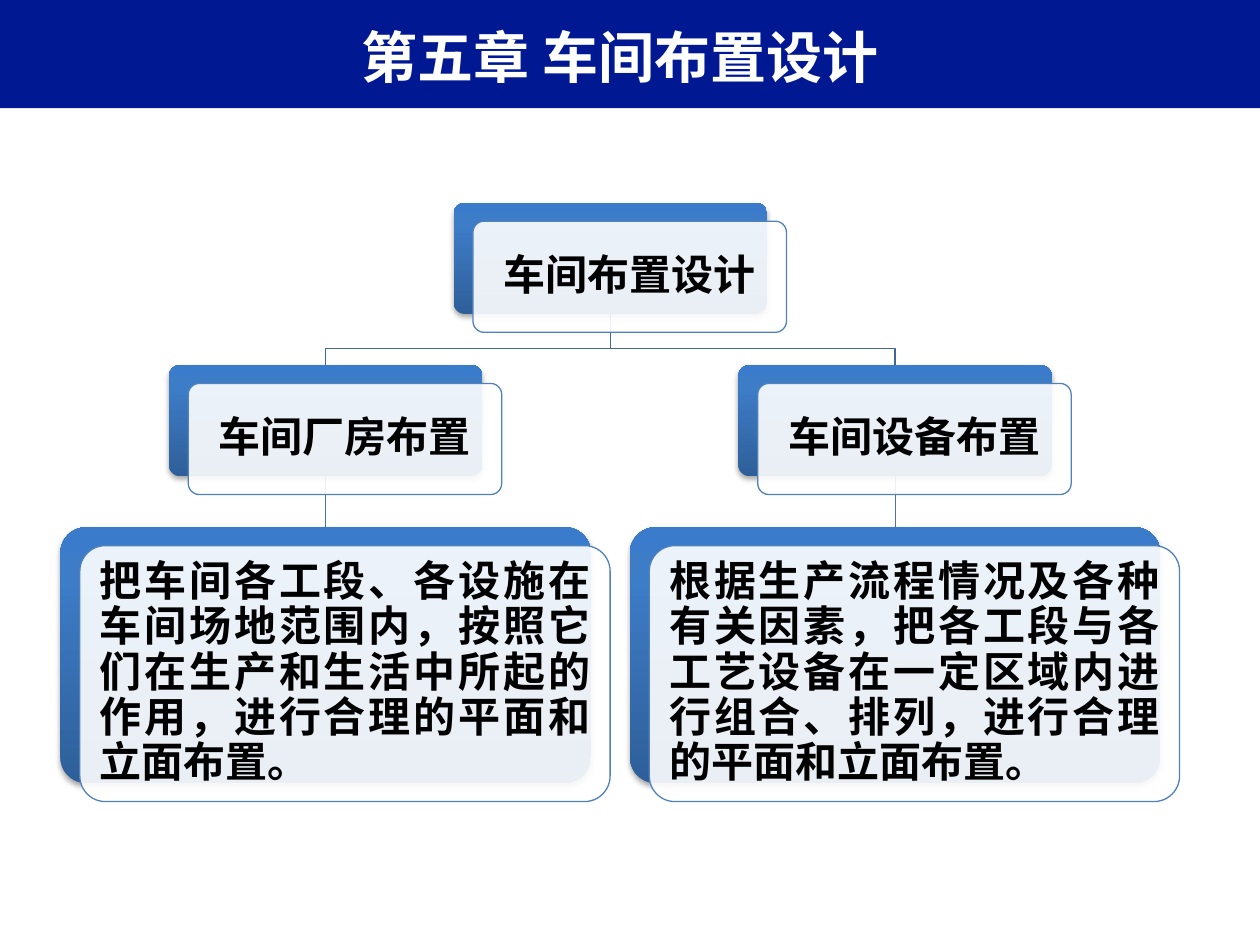
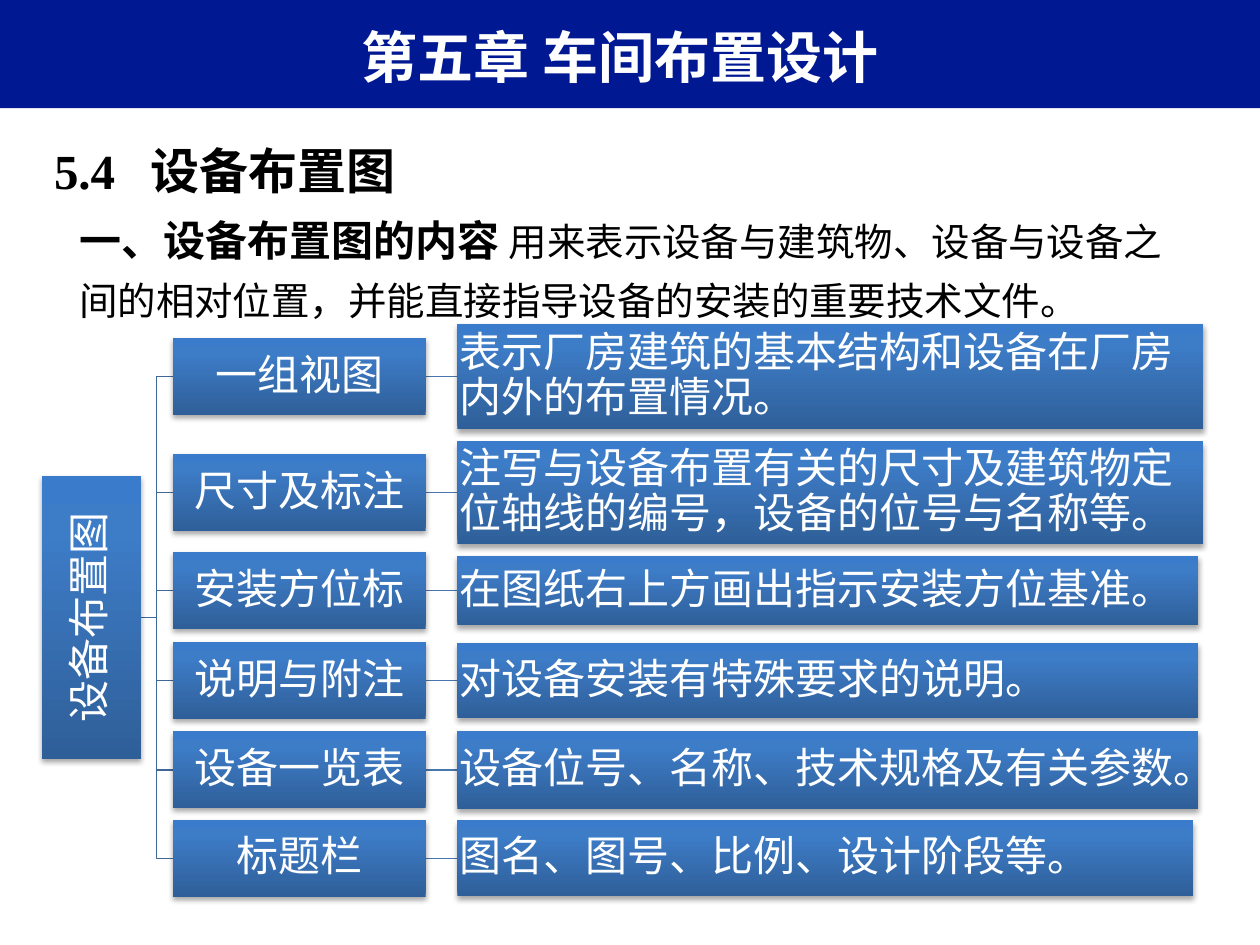
from dataclasses import dataclass

from lxml.etree import SubElement
from pptx import Presentation
from pptx.dml.color import RGBColor
from pptx.enum.shapes import MSO_CONNECTOR, MSO_SHAPE
from pptx.enum.text import MSO_ANCHOR, MSO_AUTO_SIZE, PP_ALIGN
from pptx.oxml.ns import qn
from pptx.util import Cm, Pt


@dataclass(frozen=True)
class Theme:
    band: str = "011893"
    white: str = "FFFFFF"
    black: str = "000000"
    outline: str = "4F81BD"
    branch_line: str = "3F6797"
    link_line: str = "4875AC"
    gradient: tuple = ((0, "2F5F99"), (80, "3D7CC7"), (100, "3A7CCB"))
    cjk: str = "Noto Sans CJK SC"
    serif: str = "Times New Roman"
    title_size: int = 32
    heading_size: int = 28
    label_size: int = 24
    body_size: int = 22
    line_width: float = 0.75


@dataclass(frozen=True)
class Box:
    left: float
    top: float
    width: float
    height: float

    @property
    def right(self):
        return self.left + self.width

    @property
    def bottom(self):
        return self.top + self.height

    @property
    def center(self):
        return self.left + self.width / 2

    @property
    def middle(self):
        return self.top + self.height / 2

    def shifted(self, dx, dy):
        return Box(self.left + dx, self.top + dy, self.width, self.height)

    def lengths(self):
        return Cm(self.left), Cm(self.top), Cm(self.width), Cm(self.height)


THEME = Theme()
CHAPTER = "第五章 车间布置设计"
PAGE = Box(0, 0, 25.4, 19.05)

LAYOUT_KINDS = [
    ("车间厂房布置", "把车间各工段、各设施在车间场地范围内，按照它们在生产和生活中所起的作用，进行合理的平面和立面布置。"),
    ("车间设备布置", "根据生产流程情况及各种有关因素，把各工段与各工艺设备在一定区域内进行组合、排列，进行合理的平面和立面布置。"),
]

DRAWING_CONTENTS = [
    ("一组视图", "表示厂房建筑的基本结构和设备在厂房内外的布置情况。", 7.59, 15.04, 2.13),
    ("尺寸及标注", "注写与设备布置有关的尺寸及建筑物定位轴线的编号，设备的位号与名称等。", 9.93, 15.04, 2.06),
    ("安装方位标", "在图纸右上方画出指示安装方位基准。", 11.91, 14.94, 1.4),
    ("说明与附注", "对设备安装有特殊要求的说明。", 13.72, 14.94, 1.5),
    ("设备一览表", "设备位号、名称、技术规格及有关参数。", 15.52, 14.94, 1.57),
    ("标题栏", "图名、图号、比例、设计阶段等。", 17.3, 14.83, 1.52),
]


def rgb(color):
    return RGBColor.from_string(color)


def style_font(paragraph, size, color, bold=False, latin=THEME.cjk):
    font = paragraph.font
    font.size, font.bold, font.name = Pt(size), bold, latin
    font.color.rgb = rgb(color)
    defaults = paragraph._p.pPr.find(qn("a:defRPr"))
    SubElement(defaults, qn("a:ea"), typeface=THEME.cjk)


def write_label(shape, text, align, color, bold, inset):
    frame = shape.text_frame
    frame.word_wrap = True
    frame.vertical_anchor = MSO_ANCHOR.MIDDLE
    frame.margin_left = frame.margin_right = Cm(inset)
    frame.margin_top = frame.margin_bottom = Cm(inset)
    paragraph = frame.paragraphs[0]
    paragraph.text = text
    paragraph.alignment = align
    paragraph.line_spacing = 0.9
    style_font(paragraph, THEME.label_size, color, bold)


def add_preset(slide, box, preset):
    shape = slide.shapes.add_shape(preset, *box.lengths())
    shape.shadow.inherit = False
    return shape


def add_raised(slide, box, preset):
    raised = add_preset(slide, box, preset)
    raised.line.fill.background()
    raised.fill.gradient()
    raised.fill.gradient_angle = 90
    properties = raised._element.spPr
    gradient = properties.find(qn("a:gradFill"))
    gradient.set("rotWithShape", "0")
    stops = gradient.find(qn("a:gsLst"))
    stops.clear()
    for position, color in THEME.gradient:
        stop = SubElement(stops, qn("a:gs"), pos=str(position * 1000))
        SubElement(stop, qn("a:srgbClr"), val=color)
    shadow = SubElement(properties.find(qn("a:effectLst")), qn("a:outerShdw"),
                        blurRad="40000", dist="23000", dir="5400000", rotWithShape="0")
    tint = SubElement(shadow, qn("a:srgbClr"), val=THEME.black)
    SubElement(tint, qn("a:alpha"), val="35000")
    return raised


def style_line(line, color):
    line.color.rgb = rgb(color)
    line.width = Pt(THEME.line_width)


def add_link(slide, x1, y1, x2, y2):
    link = slide.shapes.add_connector(MSO_CONNECTOR.STRAIGHT, Cm(x1), Cm(y1), Cm(x2), Cm(y2))
    style_line(link.line, THEME.link_line)
    SubElement(link._element.spPr, qn("a:effectLst"))


def add_branch(slide, *points):
    start, *corners = [(Cm(x), Cm(y)) for x, y in points]
    builder = slide.shapes.build_freeform(*start)
    builder.add_line_segments(corners, close=False)
    branch = builder.convert_to_shape()
    branch.fill.background()
    branch.shadow.inherit = False
    style_line(branch.line, THEME.branch_line)


def add_chapter_band(slide, box):
    band = add_preset(slide, box, MSO_SHAPE.RECTANGLE)
    band.fill.solid()
    band.fill.fore_color.rgb = rgb(THEME.band)
    band.line.fill.background()
    title_box = Box(box.left + 1, box.top + 0.33, 23, 1.63)
    frame = slide.shapes.add_textbox(*title_box.lengths()).text_frame
    frame.word_wrap = True
    frame.auto_size = MSO_AUTO_SIZE.SHAPE_TO_FIT_TEXT
    title = frame.paragraphs[0]
    title.text = CHAPTER
    title.alignment = PP_ALIGN.CENTER
    style_font(title, THEME.title_size, THEME.white, True)


def new_slide(deck):
    slide = deck.slides.add_slide(deck.slide_layouts[6])
    add_chapter_band(slide, Box(PAGE.left, PAGE.top, PAGE.width, 2.18))
    return slide


def add_card(slide, box, text, align=PP_ALIGN.CENTER):
    back = add_raised(slide, box, MSO_SHAPE.ROUNDED_RECTANGLE)
    plate = add_preset(slide, box.shifted(0.39, 0.37), MSO_SHAPE.ROUNDED_RECTANGLE)
    for layer in (back, plate):
        layer.adjustments[0] = 0.1
    plate.fill.solid()
    plate.fill.fore_color.rgb = rgb(THEME.white)
    white = plate._element.spPr.find(qn("a:solidFill"))[0]
    SubElement(white, qn("a:alpha"), val="90000")
    style_line(plate.line, THEME.outline)
    write_label(plate, text, align, THEME.black, True, 0.25)


def add_layout_tree(slide, box):
    card_width, card_height, gap = 6.32, 2.24, 1.03
    leaf_width, leaf_height = 10.69, 5.16
    pitch = box.width - leaf_width
    root = Box(box.center - card_width / 2, box.top, card_width, card_height)
    branches = []
    for index, (name, detail) in enumerate(LAYOUT_KINDS):
        center = box.left + leaf_width / 2 + index * pitch
        branch = Box(center - card_width / 2, root.bottom + gap, card_width, card_height)
        leaf = Box(center - leaf_width / 2, branch.bottom + gap, leaf_width, leaf_height)
        branches.append((name, branch, detail, leaf))
    bend = root.bottom + 0.7
    for _, branch, _, leaf in branches:
        add_link(slide, branch.center, branch.bottom, leaf.center, leaf.top)
        add_branch(slide, (root.center, root.bottom), (root.center, bend),
                   (branch.center, bend), (branch.center, branch.top))
    add_card(slide, root, "车间布置设计")
    for name, branch, detail, leaf in branches:
        add_card(slide, branch, name)
        add_card(slide, leaf, detail, PP_ALIGN.JUSTIFY)


def add_introduction(slide, box):
    frame = slide.shapes.add_textbox(*box.lengths()).text_frame
    frame.word_wrap = True
    heading, summary = frame.paragraphs[0], frame.add_paragraph()
    heading.text = "5.4\t设备布置图"
    heading.line_spacing = summary.line_spacing = Pt(33)
    tabs = SubElement(heading._p.get_or_add_pPr(), qn("a:tabLst"))
    SubElement(tabs, qn("a:tab"), pos=str(Cm(1.95)), algn="l")
    style_font(heading, THEME.heading_size, THEME.black, True, THEME.serif)
    summary.space_before = Pt(5)
    summary._p.pPr.set("marL", str(Cm(0.51)))
    style_font(summary, THEME.body_size, THEME.black, latin=THEME.serif)
    topic, meaning = summary.add_run(), summary.add_run()
    topic.text = "一、设备布置图的内容 "
    topic.font.size, topic.font.bold = Pt(THEME.label_size), True
    meaning.text = "用来表示设备与建筑物、设备与设备之间的相对位置，并能直接指导设备的安装的重要技术文件。"


def add_tile(slide, box, text, align=PP_ALIGN.CENTER):
    tile = add_raised(slide, box, MSO_SHAPE.RECTANGLE)
    write_label(tile, text, align, THEME.white, False, 0.05)
    return tile


def add_contents_tree(slide, box):
    subject_length, subject_depth = 5.72, 2.0
    item_width, item_height, gap = 5.1, 1.55, 0.64
    subject_edge = box.left + subject_depth
    item_left = subject_edge + gap
    detail_left = item_left + item_width + gap
    rows = []
    for name, detail, middle, width, height in DRAWING_CONTENTS:
        item = Box(item_left, middle - item_height / 2, item_width, item_height)
        explanation = Box(detail_left, middle - height / 2, width, height)
        rows.append((name, item, detail, explanation))
        add_link(slide, item.right, middle, explanation.left, middle)
        bend = subject_edge + gap / 2
        add_branch(slide, (subject_edge, box.middle), (bend, box.middle),
                   (bend, middle), (item.left, middle))
    subject_box = Box(box.left + (subject_depth - subject_length) / 2,
                      box.middle - subject_depth / 2, subject_length, subject_depth)
    add_tile(slide, subject_box, "设备布置图").rotation = 270
    for name, item, detail, explanation in rows:
        add_tile(slide, item, name)
        add_tile(slide, explanation, detail, PP_ALIGN.LEFT)


def main():
    deck = Presentation()
    deck.slide_width, deck.slide_height = Cm(PAGE.width), Cm(PAGE.height)
    add_layout_tree(new_slide(deck), Box(1.22, 4.09, 22.17, 11.7))
    drawing_slide = new_slide(deck)
    add_introduction(drawing_slide, Box(0.84, 2.72, 23.5, 15.01))
    add_contents_tree(drawing_slide, Box(0.84, 6.81, 23.42, 11.27))
    deck.save("out.pptx")


if __name__ == "__main__":
    main()
